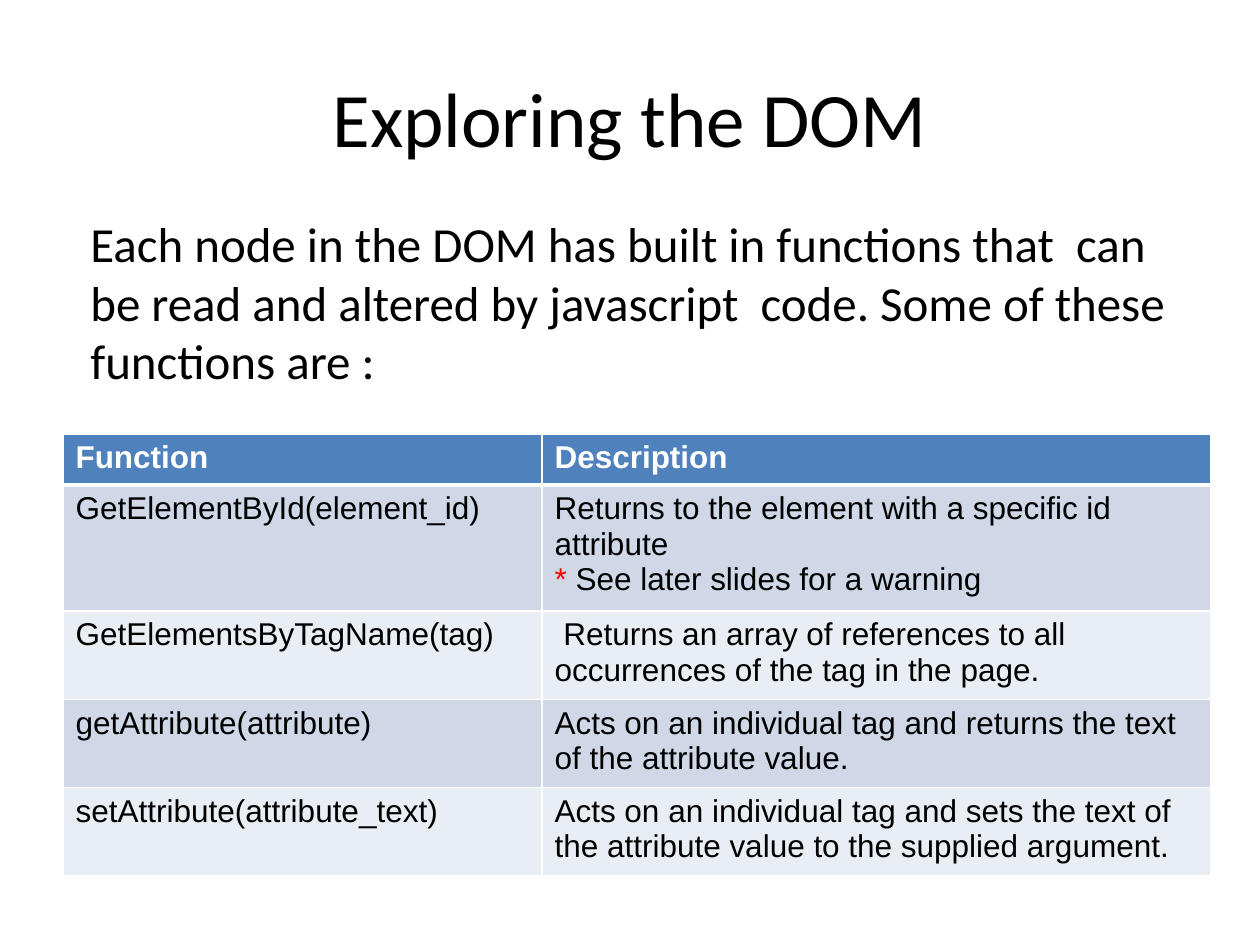
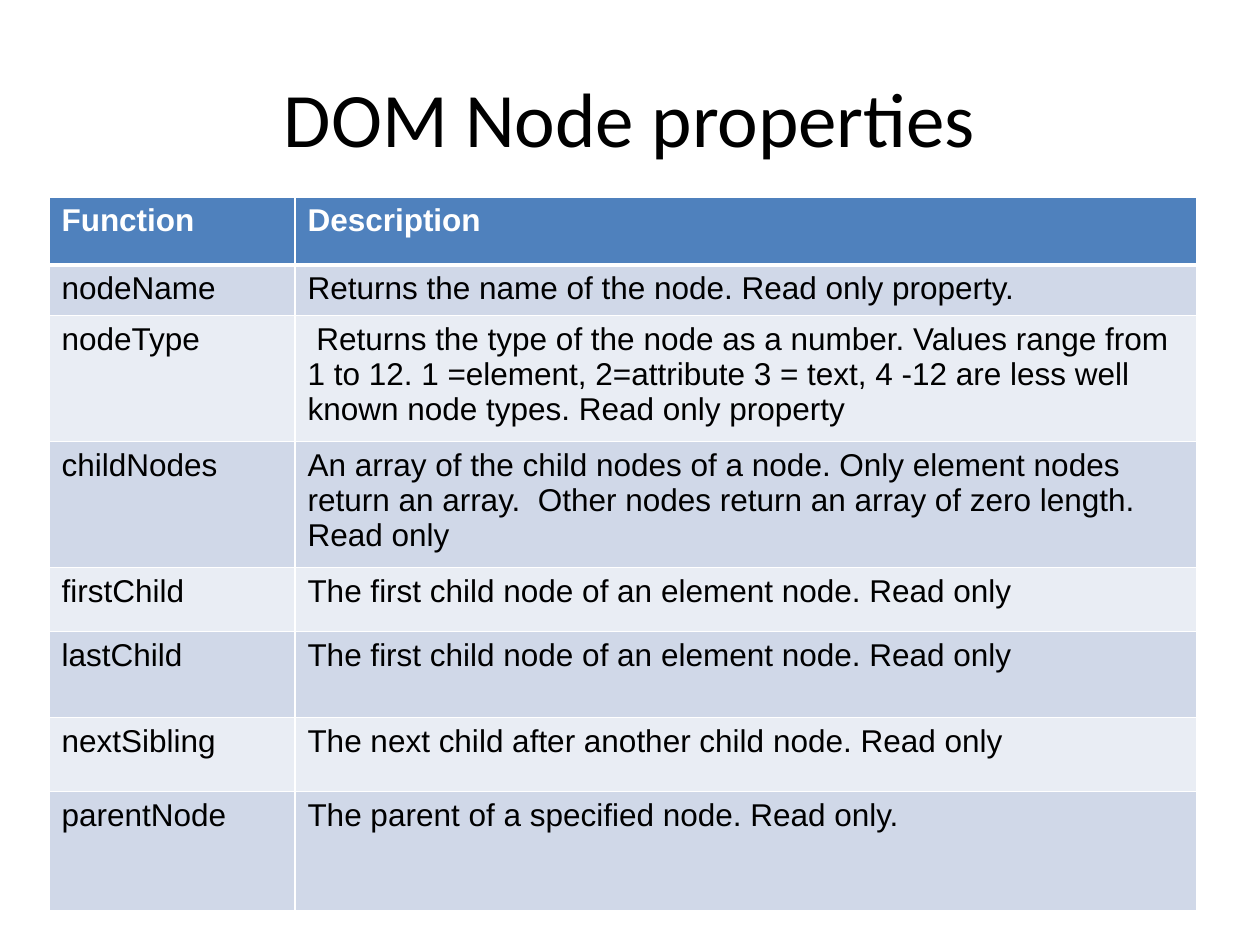
from dataclasses import dataclass

from lxml import etree
from pptx import Presentation
from pptx import util as u
from pptx.dml.color import RGBColor
from pptx.enum import text
from pptx.oxml import ns

SCALE = 914400 // 126


@dataclass(frozen=True)
class Theme:
    ink: str = "000000"
    white: str = "FFFFFF"
    head: str = "4F81BD"
    bands: tuple = ("D0D8E8", "E9EDF4")
    mark: str = "FF0000"
    sans: str = "Calibri"
    grid: str = "Arial"
    title: int = 44
    body: int = 28
    cell: int = 18


THEME = Theme()

INTRO = (
    "Each node in the DOM has built in functions that  can be read and "
    "altered by javascript  code. Some of these functions are :"
)

HEADS = ("Function", "Description")

METHODS = [
    ("GetElementById(element_id)",
     "Returns to the element with a specific id attribute\n"
     "* See later slides for a warning"),
    ("GetElementsByTagName(tag)",
     " Returns an array of references to all occurrences of the tag in the page."),
    ("getAttribute(attribute)",
     "Acts on an individual tag and returns the text of the attribute value."),
    ("setAttribute(attribute_text)",
     "Acts on an individual tag and sets the text of the attribute value "
     "to the supplied argument."),
]

PROPS = [
    ("nodeName", "Returns the name of the node. Read only property."),
    ("nodeType",
     " Returns the type of the node as a number. Values range from 1 to 12. "
     "1 =element, 2=attribute 3 = text, 4 -12 are less well known node types. "
     "Read only property"),
    ("childNodes",
     "An array of the child nodes of a node. Only element nodes return an array.  "
     "Other nodes return an array of zero length. Read only"),
    ("firstChild", "The first child node of an element node. Read only"),
    ("lastChild", "The first child node of an element node. Read only"),
    ("nextSibling", "The next child after another child node. Read only"),
    ("parentNode", "The parent of a specified node. Read only."),
]


def px(num):
    return u.Emu(num * SCALE)


def style(font, face, size, color, bold=False):
    font.name = face
    font.size = u.Pt(size)
    font.bold = bold
    font.color.rgb = RGBColor.from_string(color)


def add_text(slide, box, words, size, align, anchor):
    frame = slide.shapes.add_textbox(*map(px, box)).text_frame
    frame.word_wrap = True
    frame.vertical_anchor = anchor
    par = frame.paragraphs[0]
    par.text = words
    par.alignment = align
    style(par.font, THEME.sans, size, THEME.ink)


def add_title(slide, words):
    add_text(slide, (63, 38, 1134, 157), words, THEME.title,
             text.PP_ALIGN.CENTER, text.MSO_ANCHOR.MIDDLE)


def set_lines(cell, base):
    props = cell._tc.get_or_add_tcPr()
    for spot, side in enumerate("LRTB"):
        width = u.Pt(base if side == "B" else 1)
        line = etree.Element(ns.qn(f"a:ln{side}"), w=str(width))
        fill = etree.SubElement(line, ns.qn("a:solidFill"))
        etree.SubElement(fill, ns.qn("a:srgbClr"), val=THEME.white)
        props.insert(spot, line)


def fill_cell(cell, words, fill, color, bold, base):
    cell.fill.solid()
    cell.fill.fore_color.rgb = RGBColor.from_string(fill)
    set_lines(cell, base)
    cell.text = words
    for par in cell.text_frame.paragraphs:
        style(par.font, THEME.grid, THEME.cell, color, bold)
        if par.text.startswith("*"):
            rest = par.text[1:]
            par.runs[0].text = "*"
            par.add_run().text = rest
            for run, tint in zip(par.runs, (THEME.mark, color)):
                style(run.font, THEME.grid, THEME.cell, tint, bold)


def add_grid(slide, left, top, cols, tall, rows):
    data = [HEADS, *rows]
    grid = slide.shapes.add_table(
        len(data), len(cols), px(left), px(top), px(sum(cols)), px(sum(tall))
    ).table
    grid.horz_banding = False
    for col, width in zip(grid.columns, cols):
        col.width = px(width)
    for num, (row, height, words) in enumerate(zip(grid.rows, tall, data)):
        row.height = px(height)
        if num == 0:
            look = (THEME.head, THEME.white, True, 3)
        else:
            look = (THEME.bands[(num - 1) % 2], THEME.ink, False, 1)
        for cell, word in zip(row.cells, words):
            fill_cell(cell, word, *look)


def add_slide(deck, title):
    slide = deck.slides.add_slide(deck.slide_layouts[6])
    add_title(slide, title)
    return slide


def main():
    deck = Presentation()
    deck.slide_width, deck.slide_height = px(1260), px(945)

    slide = add_slide(deck, "Exploring the DOM")
    add_grid(slide, 63, 434, (479, 669), (51, 117, 83, 84, 82), METHODS)
    add_text(slide, (78, 207, 1126, 190), INTRO, THEME.body,
             text.PP_ALIGN.LEFT, text.MSO_ANCHOR.TOP)

    slide = add_slide(deck, "DOM Node properties")
    add_grid(slide, 49, 197, (246, 902),
             (68, 50, 118, 119, 64, 86, 74, 119), PROPS)

    deck.save("out.pptx")


if __name__ == "__main__":
    main()
